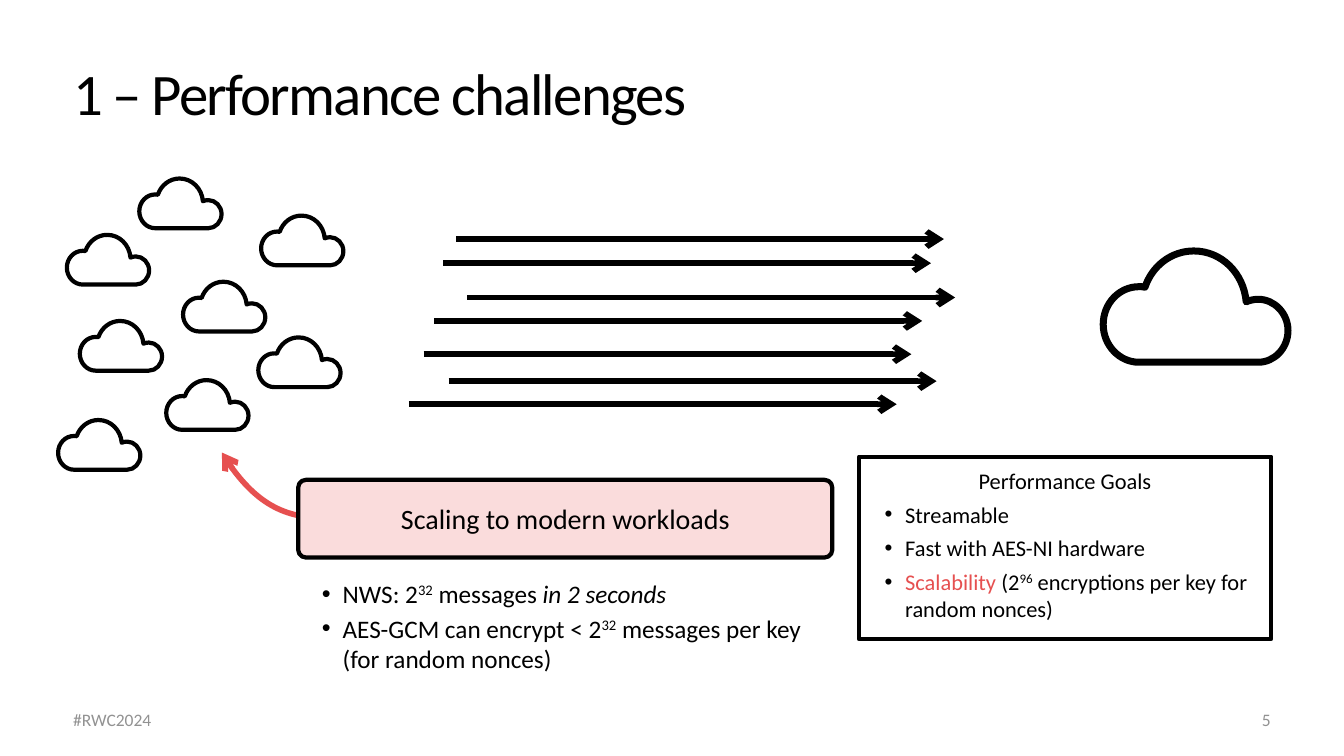
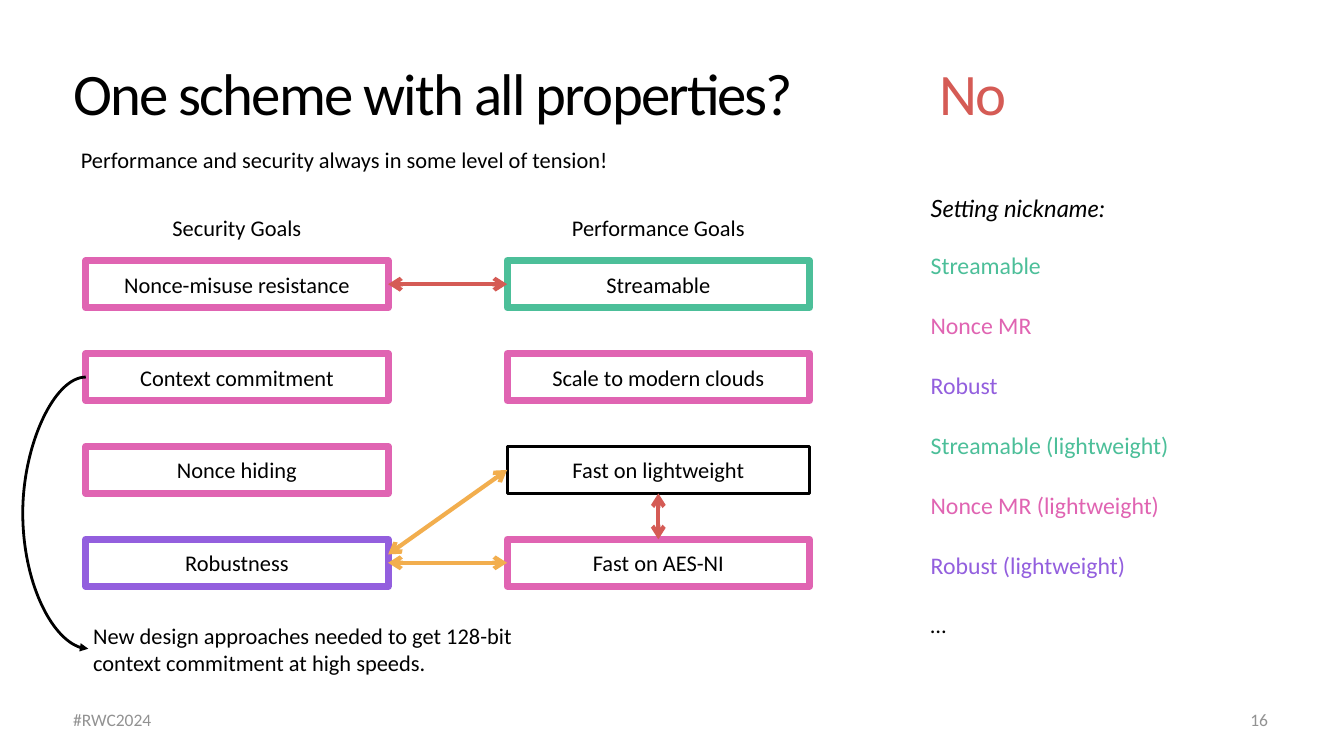
from lxml.etree import SubElement
from pptx import Presentation
from pptx.dml.color import RGBColor
from pptx.enum.shapes import MSO_CONNECTOR as Link, MSO_SHAPE as Kind
from pptx.enum.text import MSO_ANCHOR as Anchor, MSO_AUTO_SIZE as Fit, PP_ALIGN as Align
from pptx.oxml.ns import qn
from pptx.util import Pt

# Shared look
BLACK, WHITE, GREY = "000000", "FFFFFF", "929292"
RED, CORAL, BLUSH = "D55B55", "E65050", "FADCDC"
PINK, VIOLET, GREEN, AMBER = "E064B2", "935FDE", "4CBF99", "F2AE4E"
PAD = 4.5
LIST = 59  # hanging indent of list text

# Cloud outline on a 367 x 221 grid: start, then three points per cubic curve
CLOUD_W, CLOUD_H = 367, 221
CLOUD = [
    (180, 0),
    (135, 0), (97, 30), (83, 72),
    (79, 71), (75, 71), (71, 71),
    (32, 71), (0, 104), (0, 146),
    (0, 187), (32, 221), (71, 221),
    (71, 221), (308, 221), (308, 221),
    (340, 221), (367, 193), (367, 158),
    (367, 124), (340, 96), (308, 96),
    (299, 96), (291, 98), (284, 101),
    (279, 44), (235, 0), (180, 0),
]


def color(code):
    return RGBColor.from_string(code)


# Text
def add_runs(para, parts, size, tint=BLACK, font="Calibri"):
    """Parts are strings or (string, style) pairs; style may be up, slant or a colour."""
    for part in parts:
        text, style = (part, None) if isinstance(part, str) else part
        run = para.add_run()
        run.text = text
        run.font.name, run.font.size = font, Pt(size)
        run.font.color.rgb = color(tint)
        if style == "up":
            run.font._element.set("baseline", "32000")
        elif style == "slant":
            run.font.italic = True
        elif style:
            run.font.color.rgb = color(style)


def set_frame(frame, anchor=Anchor.MIDDLE, side=PAD, edge=PAD, wrap=True):
    frame.word_wrap = wrap
    frame.auto_size = Fit.NONE
    frame.vertical_anchor = anchor
    frame.margin_left = frame.margin_right = Pt(side)
    frame.margin_top = frame.margin_bottom = Pt(edge)


def add_bullet(para):
    props = para._p.get_or_add_pPr()
    props.set("marL", str(Pt(LIST)))
    props.set("indent", str(-Pt(LIST / 2)))
    tint = SubElement(props, qn("a:buClr"))
    SubElement(tint, qn("a:srgbClr"), val=BLACK)
    SubElement(props, qn("a:buFont"), typeface="Arial")
    SubElement(props, qn("a:buChar"), char="•")


def add_text(slide, box, parts, size=32, tint=BLACK, align=Align.LEFT,
             font="Calibri", **frame):
    label = slide.shapes.add_textbox(*map(Pt, box))
    set_frame(label.text_frame, **frame)
    para = label.text_frame.paragraphs[0]
    para.alignment = align
    add_runs(para, parts, size, tint, font)
    return para


def style_title(para):
    para.line_spacing = 0.8
    for run in para.runs:
        run.font._element.set("spc", "-250")


# Shapes and lines
def add_box(slide, box, text, line=None, weight=10, fill=WHITE, size=32, kind=Kind.RECTANGLE):
    shape = slide.shapes.add_shape(kind, *map(Pt, box))
    paint(shape, fill, line, weight)
    set_frame(shape.text_frame)
    para = shape.text_frame.paragraphs[0]
    para.alignment = Align.CENTER
    add_runs(para, [text], size)
    return shape


def paint(shape, fill, line, weight):
    shape.shadow.inherit = False
    if fill:
        shape.fill.solid()
        shape.fill.fore_color.rgb = color(fill)
    else:
        shape.fill.background()
    if line:
        shape.line.color.rgb = color(line)
        shape.line.width = Pt(weight)
    else:
        shape.line.fill.background()


def add_heads(shape, head=None, tail=None):
    stroke = shape.line._get_or_add_ln()
    for tag, style in (("a:headEnd", head), ("a:tailEnd", tail)):
        if style:
            SubElement(stroke, qn(tag), type=style)


def add_arrow(slide, start, end, tint=BLACK, weight=8, head=None, tail="arrow", kind=Link.STRAIGHT):
    arrow = slide.shapes.add_connector(kind, *map(Pt, start + end))
    arrow.line.color.rgb = color(tint)
    arrow.line.width = Pt(weight)
    add_heads(arrow, head, tail)
    SubElement(arrow._element.spPr, qn("a:effectLst"))
    return arrow


def add_curve(slide, points, line, weight, fill=None):
    """Outline of cubic curves; with a fill it is closed."""
    spots = [(Pt(x), Pt(y)) for x, y in points]
    pen = slide.shapes.build_freeform(*spots[0])
    pen.add_line_segments(spots[1:], close=bool(fill))
    shape = pen.convert_to_shape()
    paint(shape, fill, line, weight)

    # Join each three straight segments into one cubic curve
    route = shape._element.spPr.find(".//" + qn("a:path"))
    legs = route.findall(qn("a:lnTo"))
    for i in range(0, len(legs), 3):
        bend = SubElement(route, qn("a:cubicBezTo"))
        legs[i].addprevious(bend)
        for leg in legs[i:i + 3]:
            bend.append(leg[0])
            route.remove(leg)
    return shape


def add_cloud(slide, box, weight):
    left, top, width, height = box
    points = [(left + x * width / CLOUD_W, top + y * height / CLOUD_H) for x, y in CLOUD]
    add_curve(slide, points, BLACK, weight, WHITE)


# Title and footer of every slide
def start_slide(deck, layout, title, number, right):
    slide = deck.slides.add_slide(deck.slide_layouts[layout])
    head = slide.shapes.title
    head.left, head.top, head.width, head.height = map(Pt, (100, 64, 1720, 122))
    set_frame(head.text_frame, Anchor.BOTTOM)
    para = head.text_frame.paragraphs[0]
    para.alignment = Align.LEFT
    add_runs(para, [title], 84)
    style_title(para)
    add_text(slide, (100, 1000, 720, 55), ["#RWC2024"], 25, GREY)
    add_text(slide, (right - 720, 1006.5, 720, 42), [number], 25, GREY, Align.RIGHT)
    return slide


# Slide 1 regions
def draw_traffic(slide, box):
    left, top, width, _ = box
    for x, y in [(154.5, 288), (31, 203.5), (12.5, 80.5), (178.5, 147.5),
                 (290, 53), (286, 227), (116, 0), (0, 345)]:
        add_cloud(slide, (left + x, top + y, 117.5, 71), 6)
    for x, y in [(537.5, 203.5), (522, 251), (501, 322.5), (568.5, 86.5),
                 (558, 289.5), (584.5, 170), (550, 121)]:
        add_arrow(slide, (left + x, top + y), (left + x + 697, top + y))
    add_cloud(slide, (left + width - 264, top + 103.5, 264, 159), 10)


def draw_scaling(slide, box):
    left, top, width, height = box
    curve = [(58, 52.5), (-11, 60.5), (-67.5, 31.5), (-109, -39)]
    points = [(left + x, top + y) for x, y in curve]
    add_heads(add_curve(slide, points, CORAL, 8), tail="arrow")
    banner = add_box(slide, (left, top, width, 111), "Scaling to modern workloads",
                     BLACK, 6, BLUSH, 40, Kind.ROUNDED_RECTANGLE)
    banner.adjustments[0] = 0.1

    body = slide.placeholders[1]
    body.left, body.top, body.width, body.height = map(Pt, (left, top + 115, width, height - 115))
    frame = body.text_frame
    set_frame(frame, Anchor.TOP)
    rows = [
        (1.5, ["NWS: 2", ("32", "up"), " messages ", ("in 2 seconds", "slant")]),
        (1, ["AES-GCM can encrypt < 2", ("32", "up"), " messages per key (for random nonces)"]),
    ]
    for i, (space, parts) in enumerate(rows):
        para = frame.add_paragraph() if i else frame.paragraphs[0]
        para.line_spacing, para.space_before, para.space_after = space, Pt(0), Pt(6)
        add_bullet(para)
        add_runs(para, parts, 36)


def draw_goals(slide, box):
    panel = add_box(slide, box, "Performance Goals", BLACK, 6)
    frame = panel.text_frame
    set_frame(frame, Anchor.TOP, 7.2, 14.4)
    for parts in (["Streamable"], ["Fast with AES-NI hardware"],
                  [("Scalability", CORAL), " (2", ("96", "up"),
                   " encryptions per key for random nonces)"]):
        para = frame.add_paragraph()
        para.alignment, para.space_before = Align.LEFT, Pt(10)
        add_bullet(para)
        add_runs(para, parts, 32)


# Slide 2 regions
def draw_tension(slide, box):
    left, top, width, height = box
    wide, tall, gap = 432, 67, 132.67
    right = left + width - wide
    first = top + 81
    columns = [
        (left, "Security Goals", [
            ("Nonce-misuse resistance", PINK), ("Context commitment", PINK),
            ("Nonce hiding", PINK), ("Robustness", VIOLET)]),
        (right, "Performance Goals", [
            ("Streamable", GREEN), ("Scale to modern clouds", PINK),
            ("Fast on lightweight", BLACK), ("Fast on AES-NI", PINK)]),
    ]
    for x, name, goals in columns:
        add_box(slide, (x, top, wide, tall), name)
        for i, (goal, tint) in enumerate(goals):
            add_box(slide, (x, first + i * gap, wide, tall), goal, tint,
                    4 if tint == BLACK else 10)

    # Conflicts between goals
    mids = [first + i * gap + tall / 2 for i in range(4)]
    near, center = left + wide, right + wide / 2
    for start, end, tint in [
            ((right, mids[0]), (near, mids[0]), RED),
            ((right, mids[3]), (near, mids[3]), AMBER),
            ((center, mids[2] + tall / 2), (center, mids[3] - tall / 2), RED),
            ((right, mids[2]), (near, mids[3] - 12), AMBER)]:
        add_arrow(slide, start, end, tint, 6, "arrow")

    # Note on commitment, with its curved arrow
    note = top + height - 86.5
    add_text(slide, (left + 3.5, note, 717, 86.5),
             ["New design approaches needed to get 128-bit context commitment at high speeds."],
             side=7.2)
    bend = add_arrow(slide, (left, mids[1]), (left + 3.6, note + 43.25), weight=4,
                     head="triangle", tail=None, kind=Link.CURVE)
    props = bend._element.spPr
    props.find(qn("a:xfrm")).set("rot", "10800000")
    shape = props.find(qn("a:prstGeom"))
    guides = shape.find(qn("a:avLst"))
    if guides is None:
        guides = SubElement(shape, qn("a:avLst"))
    SubElement(guides, qn("a:gd"), name="adj1", fmla="val 2600000")


def draw_names(slide, box):
    left, top, _, height = box
    names = [
        ("Streamable", GREEN, 197), ("Nonce MR", PINK, 177), ("Robust", VIOLET, 124),
        ("Streamable (lightweight)", GREEN, 414), ("Nonce MR (lightweight)", PINK, 394),
        ("Robust (lightweight)", VIOLET, 342), ("…", BLACK, 36),
    ]
    add_text(slide, (left, top, 303, 49), [("Setting nickname:", "slant")], 34,
             font="Lato", wrap=False)
    first = top + 81.5
    step = (top + height - 49 - first) / (len(names) - 1)
    for i, (name, tint, width) in enumerate(names):
        add_text(slide, (left, first + i * step, width, 49), [name],
                 32 if name == "…" else 34, tint, wrap=False)


def main():
    deck = Presentation()
    deck.slide_width, deck.slide_height = Pt(1920), Pt(1080)

    slide = start_slide(deck, 1, "1 – Performance challenges", "5", 1820)
    draw_traffic(slide, (83, 255, 1757, 416))
    draw_scaling(slide, (426, 685.5, 763, 282))
    draw_goals(slide, (1227, 652.5, 589, 260.5))

    slide = start_slide(deck, 5, "One scheme with all properties?", "16", 1816)
    style_title(add_text(slide, (1338, 64, 513, 122), ["No"], 84, RED, anchor=Anchor.BOTTOM))
    add_text(slide, (111, 203, 873, 50),
             ["Performance and security always in some level of tension!"], wrap=False)
    draw_tension(slide, (122.5, 291.5, 1034, 678.5))
    draw_names(slide, (1325, 272, 420, 645))

    deck.save("out.pptx")


if __name__ == "__main__":
    main()
